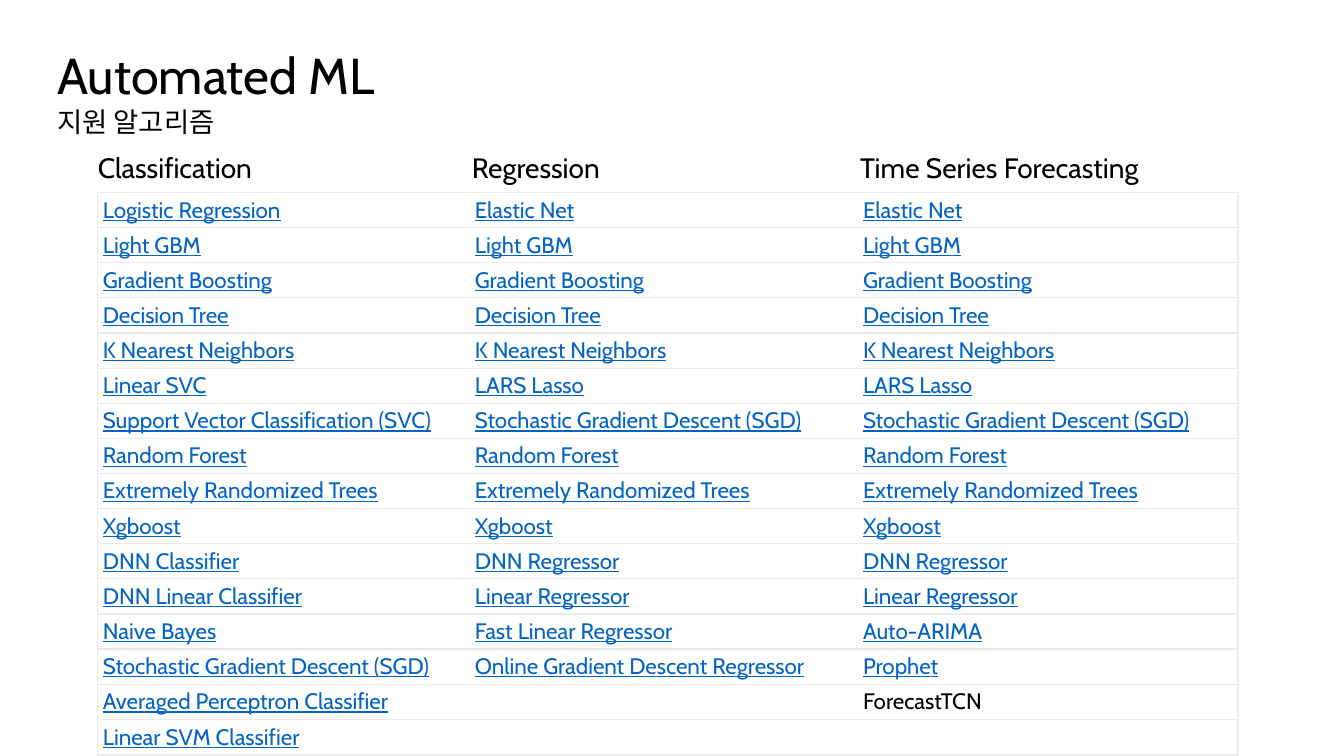
import lxml.etree
import pptx
import pptx.dml.color
import pptx.enum.text
import pptx.oxml.ns
import pptx.util
from dataclasses import dataclass

Inches = pptx.util.Inches
qn = pptx.oxml.ns.qn


@dataclass(frozen=True)
class Theme:
    face: str = "Cabin"
    text: str = "000000"
    link: str = "0563C1"
    border: str = "EBEBEB"
    paper: str = "FFFFFF"
    title: float = 36
    subtitle: float = 19.6
    heading: float = 20
    body: float = 16


theme = Theme()


def write(paragraph, words, size, color=theme.text):
    paragraph.text = words
    paragraph.font.name = theme.face
    paragraph.font.size = pptx.util.Pt(size)
    paragraph.font.color.rgb = pptx.dml.color.RGBColor.from_string(color)


def set_up(frame, left=0, top=0, wrap=True):
    frame.margin_left, frame.margin_top = Inches(left), Inches(top)
    frame.margin_right = frame.margin_bottom = 0
    frame.vertical_anchor = pptx.enum.text.MSO_ANCHOR.TOP
    frame.auto_size = pptx.enum.text.MSO_AUTO_SIZE.NONE
    frame.word_wrap = wrap
    return frame.paragraphs[0]


# Supported algorithms by task
shared = ["Decision Tree", "K Nearest Neighbors"]
ensembles = ["Random Forest", "Extremely Randomized Trees", "Xgboost"]
boosters = ["Light GBM", "Gradient Boosting"]
sgd = "Stochastic Gradient Descent (SGD)"
numeric = ["Elastic Net", *boosters, *shared, "LARS Lasso", sgd, *ensembles,
           "DNN Regressor", "Linear Regressor"]
algorithms = {
    "Classification": [
        "Logistic Regression", *boosters, *shared, "Linear SVC",
        "Support Vector Classification (SVC)", *ensembles,
        "DNN Classifier", "DNN Linear Classifier", "Naive Bayes", sgd,
        "Averaged Perceptron Classifier", "Linear SVM Classifier"],
    "Regression": [
        *numeric, "Fast Linear Regressor", "Online Gradient Descent Regressor"],
    "Time Series Forecasting": [
        *numeric, "Auto-ARIMA", "Prophet", "ForecastTCN"],
}
unlinked = {"ForecastTCN"}

# Grid
margin, content_width = 0.47, 12.4
table_left, table_top, row_height = 0.97, 1.91, 0.34
column_widths = [3.69, 3.85, 3.77]
heading_lefts = [0.97, 4.68, 8.53]
heading_widths = [1.61, 1.35, 2.91]
row_count = max(len(names) for names in algorithms.values())

deck = pptx.Presentation()
deck.slide_width, deck.slide_height = Inches(13.33), Inches(7.5)
slide = deck.slides.add_slide(deck.slide_layouts.get_by_name("Title Only"))

# Title and subtitle
title = slide.shapes.title
title.left, title.top = Inches(margin), Inches(0.33)
title.width, title.height = Inches(content_width), Inches(0.83)
subtitle = slide.shapes.add_textbox(
    Inches(margin), Inches(1.08), Inches(content_width), Inches(0.3))
for part, words, size, top in [
        (title, "Automated ML", theme.title, 0.18),
        (subtitle, "지원 알고리즘", theme.subtitle, 0)]:
    line = set_up(part.text_frame, left=0.1, top=top)
    line.alignment = pptx.enum.text.PP_ALIGN.LEFT
    line.line_spacing = 0.9
    write(line, words, size)

# Algorithm table, without a built-in style
algorithm_table = slide.shapes.add_table(
    row_count, len(algorithms), Inches(table_left), Inches(table_top),
    Inches(sum(column_widths)), Inches(row_count * row_height)).table
algorithm_table.first_row = algorithm_table.horz_banding = False
style = next(algorithm_table._tbl.iter(qn("a:tableStyleId")))
style.text = "{2D5ABB26-0587-4C30-8999-92F81FD0307C}"
for row in algorithm_table.rows:
    row.height = Inches(row_height)

for column, (task, names) in enumerate(algorithms.items()):
    algorithm_table.columns[column].width = Inches(column_widths[column])

    # Column heading
    heading = slide.shapes.add_textbox(
        Inches(heading_lefts[column]), Inches(1.49),
        Inches(heading_widths[column]), Inches(0.34))
    write(set_up(heading.text_frame, wrap=False), task, theme.heading)

    # Outer sides and row rules
    sides = ["lnT", "lnB"]
    if column == 0:
        sides.insert(0, "lnL")
    elif column == len(algorithms) - 1:
        sides.insert(0, "lnR")

    for row in range(row_count):
        cell = algorithm_table.cell(row, column)
        cell.margin_left = cell.margin_right = Inches(0.05)
        cell.margin_top = cell.margin_bottom = Inches(0.04)
        properties = cell._tc.get_or_add_tcPr()
        for side in sides:
            rule = lxml.etree.SubElement(properties, qn(f"a:{side}"), w="12700")
            paint = lxml.etree.SubElement(rule, qn("a:solidFill"))
            lxml.etree.SubElement(paint, qn("a:srgbClr"), val=theme.border)
        cell.fill.solid()
        cell.fill.fore_color.rgb = pptx.dml.color.RGBColor.from_string(theme.paper)

        entry = cell.text_frame.paragraphs[0]
        if row < len(names):
            linked = names[row] not in unlinked
            write(entry, names[row], theme.body, theme.link if linked else theme.text)
            entry.font.underline = linked
        else:
            # Keeps an empty cell from stretching its row
            lxml.etree.SubElement(
                entry._p, qn("a:endParaRPr"), sz=str(theme.body * 100))

deck.save("out.pptx")
